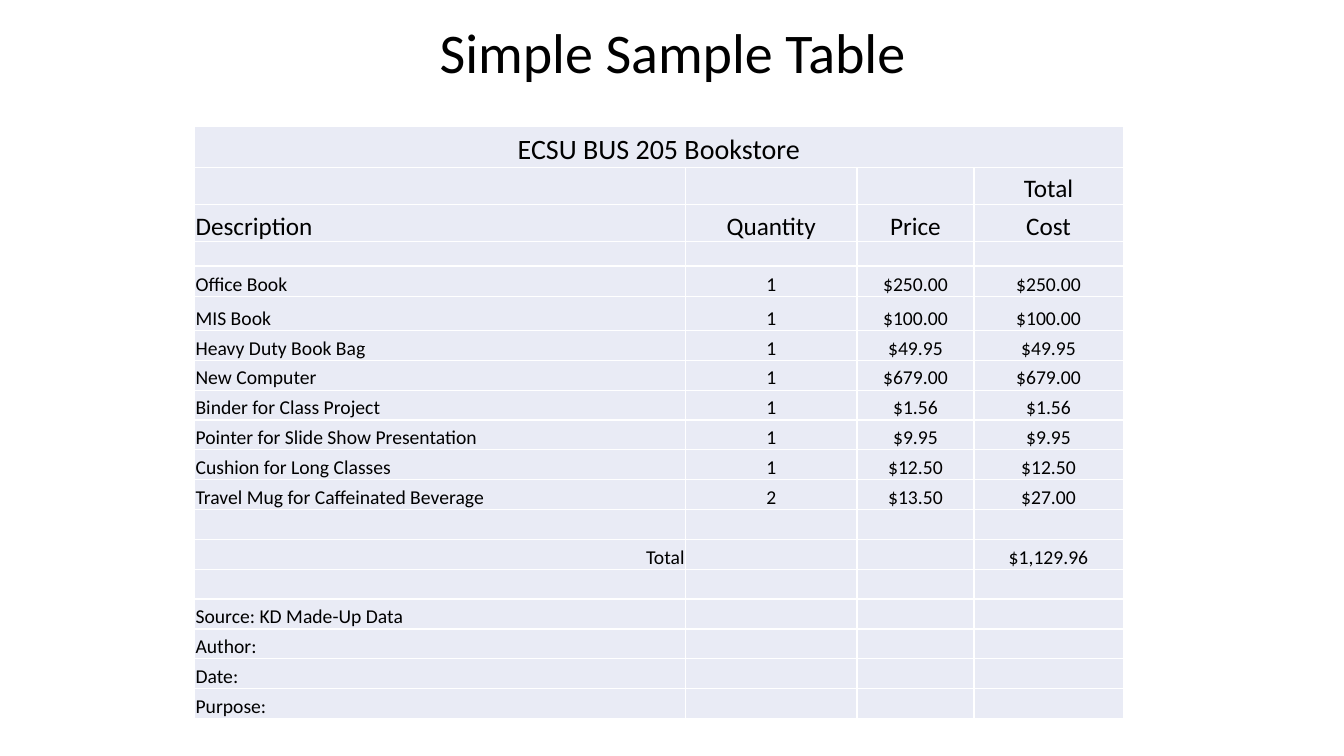
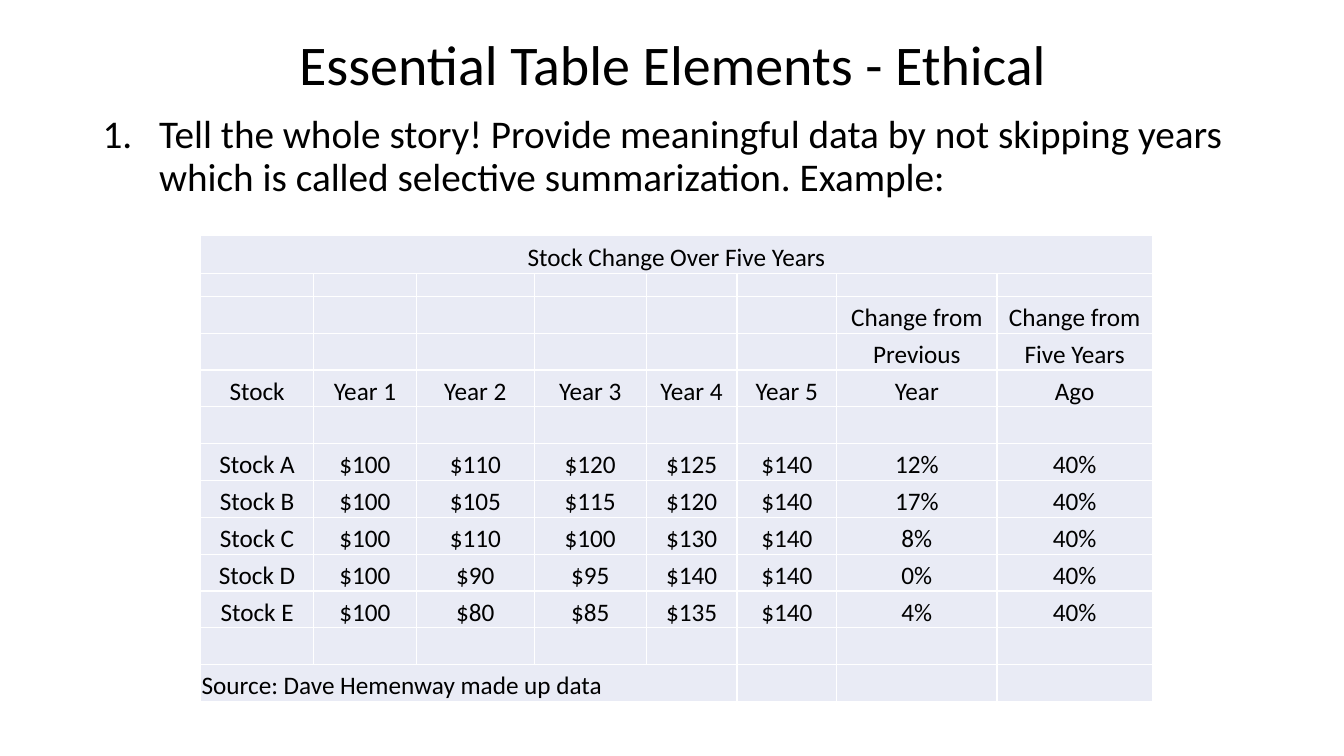
from lxml import etree
from pptx import Presentation
from pptx.dml.color import RGBColor
from pptx.enum.text import MSO_ANCHOR, PP_ALIGN
from pptx.oxml.ns import qn
from pptx.util import Inches, Pt

LEFT, CENTER, RIGHT = PP_ALIGN.LEFT, PP_ALIGN.CENTER, PP_ALIGN.RIGHT
MIDDLE, BOTTOM = MSO_ANCHOR.MIDDLE, MSO_ANCHOR.BOTTOM

# Shared style
FONT = "Calibri"
INK, CELL_FILL, GRID = "000000", "E9EBF5", "FFFFFF"
TEXT_LEFT, TEXT_WIDTH = 0.92, 11.5
TITLE_SIZE, BODY_SIZE = 40, 28
BODY_INDENT = 0.56
EMPTY_SIZE = 10
CELL_INSET = 0.01

# Bookstore table: each group is (row height, text size, rows);
# rows without a height share what is left of the table height
ITEMS = [
    ("Heavy Duty Book Bag", "1", "$49.95", "$49.95"),
    ("New Computer", "1", "$679.00", "$679.00"),
    ("Binder for Class Project", "1", "$1.56", "$1.56"),
    ("Pointer for Slide Show Presentation", "1", "$9.95", "$9.95"),
    ("Cushion for Long Classes", "1", "$12.50", "$12.50"),
    ("Travel Mug for Caffeinated Beverage", "2", "$13.50", "$27.00"),
]
CLOSING = [
    (),
    ("Total", "", "", "$1,129.96"),
    (),
    ("Source: KD Made-Up Data",),
    ("Author:",),
    ("Date:",),
    ("Purpose:",),
]
BOOKSTORE = {
    "at": (1.93, 1.25),
    "height": 5.88,
    "columns": [4.87, 1.7, 1.16, 1.48],
    "first_align": LEFT,
    "groups": [
        (0.41, 20, [("ECSU BUS 205 Bookstore",)]),
        (0.37, 18, [("", "", "", "Total"),
                    ("Description", "Quantity", "Price", "Cost")]),
        (0.24, 14, [()]),
        (0.3, 14, [("Office Book", "1", "$250.00", "$250.00")]),
        (0.34, 14, [("MIS Book", "1", "$100.00", "$100.00")]),
        (None, 14, ITEMS + CLOSING),
    ],
    "spans": {"ECSU BUS 205 Bookstore": 4},
    "aligns": {"ECSU BUS 205 Bookstore": CENTER, "Total": RIGHT},
}

# Stock table
STOCK_ROWS = [
    ("", "", "", "", "", "", "Change from", "Change from"),
    ("", "", "", "", "", "", "Previous", "Five Years"),
    ("Stock", "Year 1", "Year 2", "Year 3", "Year 4", "Year 5", "Year", "Ago"),
    (),
    ("Stock A", "$100", "$110", "$120", "$125", "$140", "12%", "40%"),
    ("Stock B", "$100", "$105", "$115", "$120", "$140", "17%", "40%"),
    ("Stock C", "$100", "$110", "$100", "$130", "$140", "8%", "40%"),
    ("Stock D", "$100", "$90", "$95", "$140", "$140", "0%", "40%"),
    ("Stock E", "$100", "$80", "$85", "$135", "$140", "4%", "40%"),
    (),
    ("Source: Dave Hemenway made up data",),
]
STOCKS = {
    "at": (1.99, 2.34),
    "height": 4.62,
    "columns": [1.12, 1.02, 1.17, 1.11, 0.9, 0.99, 1.59, 1.54],
    "first_align": CENTER,
    "groups": [
        (0.37, 18, [("Stock Change Over Five Years",)]),
        (0.23, 18, [()]),
        (None, 18, STOCK_ROWS),
    ],
    "spans": {"Stock Change Over Five Years": 8,
              "Source: Dave Hemenway made up data": 5},
    "aligns": {"Source: Dave Hemenway made up data": LEFT},
}

SLIDES = [
    {"title": "Simple Sample Table", "title_band": (0.22, 0.65),
     "table": BOOKSTORE},
    {"title": "Essential Table Elements - Ethical", "title_band": (0.25, 0.83),
     "point": "Tell the whole story! Provide meaningful data by not skipping "
              "years which is called selective summarization. Example:",
     "point_band": (1.09, 1.1),
     "table": STOCKS},
]


def color(value):
    return RGBColor.from_string(value)


def add_run(paragraph, text, size):
    run = paragraph.add_run()
    run.text = text
    run.font.name, run.font.size = FONT, Pt(size)
    run.font.color.rgb = color(INK)


def add_text(slide, text, band, size):
    top, height = band
    frame = slide.shapes.add_textbox(Inches(TEXT_LEFT), Inches(top),
                                     Inches(TEXT_WIDTH), Inches(height)).text_frame
    frame.word_wrap = True
    paragraph = frame.paragraphs[0]
    paragraph.line_spacing = 0.9
    add_run(paragraph, text, size)
    return frame, paragraph


def add_title(slide, text, band):
    frame, paragraph = add_text(slide, text, band, TITLE_SIZE)
    frame.vertical_anchor = MIDDLE
    paragraph.alignment = CENTER


def add_numbered_point(slide, text, band):
    _, paragraph = add_text(slide, text, band, BODY_SIZE)
    properties = paragraph._p.get_or_add_pPr()
    indent = Inches(BODY_INDENT)
    properties.set("marL", str(indent))
    properties.set("indent", str(-indent))
    etree.SubElement(properties, qn("a:buFont"), typeface="+mj-lt")
    etree.SubElement(properties, qn("a:buAutoNum"), type="arabicPeriod")


def style_cell(cell):
    # Borders come before the fill in the cell properties
    properties = cell._tc.get_or_add_tcPr()
    for side in ("lnL", "lnR", "lnT", "lnB"):
        line = etree.SubElement(properties, qn("a:" + side), w=str(Pt(1)))
        fill = etree.SubElement(line, qn("a:solidFill"))
        etree.SubElement(fill, qn("a:srgbClr"), val=GRID)
    cell.fill.solid()
    cell.fill.fore_color.rgb = color(CELL_FILL)
    cell.margin_left = cell.margin_right = cell.margin_top = Inches(CELL_INSET)
    cell.margin_bottom = 0
    cell.vertical_anchor = BOTTOM


def fill_cell(cell, text, size, alignment):
    style_cell(cell)
    paragraph = cell.text_frame.paragraphs[0]
    if text:
        paragraph.alignment = alignment
        add_run(paragraph, text, size)
    else:
        # A small end mark keeps empty rows from growing
        etree.SubElement(paragraph._p, qn("a:endParaRPr"), sz=str(EMPTY_SIZE * 100))


def lay_out_rows(data):
    groups = data["groups"]
    fixed = sum(height * len(rows) for height, _, rows in groups if height)
    flexible = sum(len(rows) for height, _, rows in groups if not height)
    share = (data["height"] - fixed) / flexible
    return [(height or share, size, row)
            for height, size, rows in groups for row in rows]


def add_data_table(slide, data):
    rows = lay_out_rows(data)
    columns = data["columns"]
    left, top = data["at"]
    table = slide.shapes.add_table(
        len(rows), len(columns), Inches(left), Inches(top),
        Inches(sum(columns)), Inches(data["height"])).table
    table.first_row = table.horz_banding = False
    for column, width in zip(table.columns, columns):
        column.width = Inches(width)
    for r, (height, size, row) in enumerate(rows):
        table.rows[r].height = Inches(height)
        for c in range(len(columns)):
            text = row[c] if c < len(row) else ""
            alignment = CENTER
            if c == 0:
                alignment = data["aligns"].get(text, data["first_align"])
            fill_cell(table.cell(r, c), text, size, alignment)
        if row and row[0] in data["spans"]:
            table.cell(r, 0).merge(table.cell(r, data["spans"][row[0]] - 1))


def main():
    deck = Presentation()
    deck.slide_width, deck.slide_height = Inches(13.33), Inches(7.5)
    for content in SLIDES:
        slide = deck.slides.add_slide(deck.slide_layouts[6])
        add_title(slide, content["title"], content["title_band"])
        if "point" in content:
            add_numbered_point(slide, content["point"], content["point_band"])
        add_data_table(slide, content["table"])
    deck.save("out.pptx")


if __name__ == "__main__":
    main()
